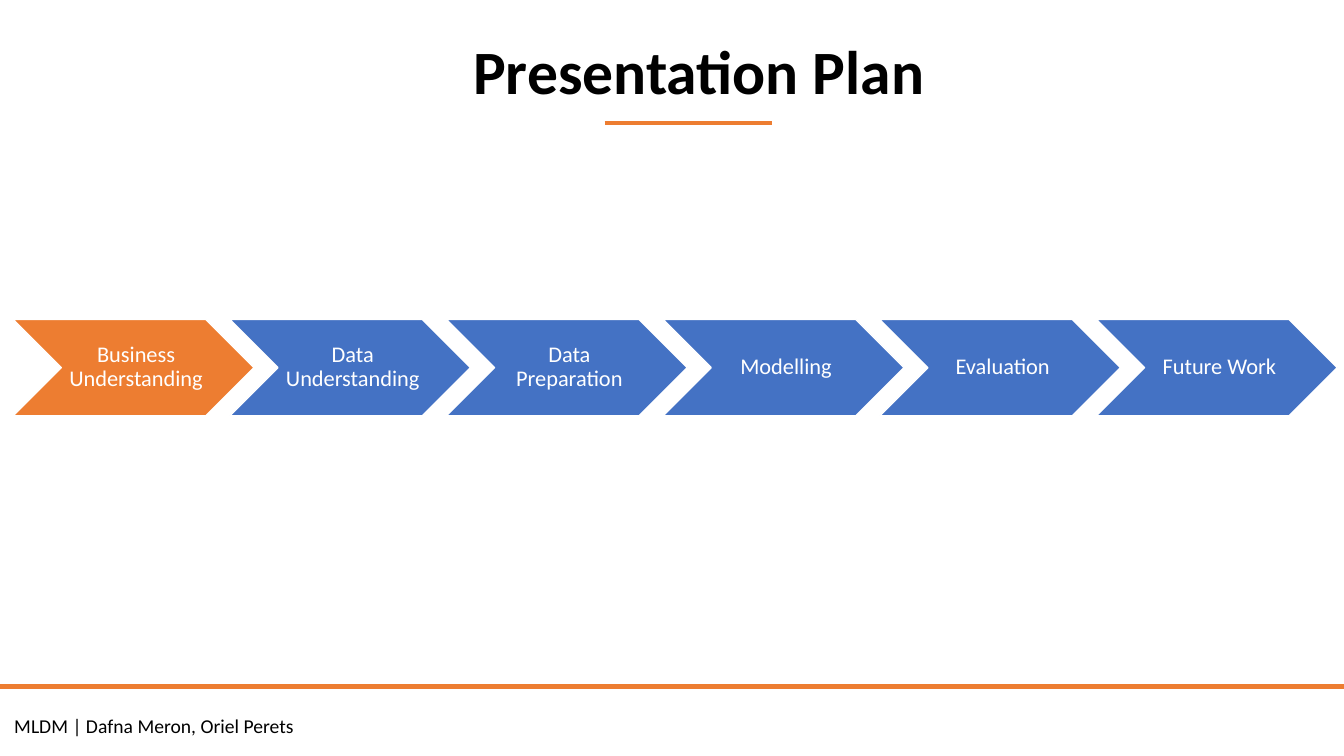
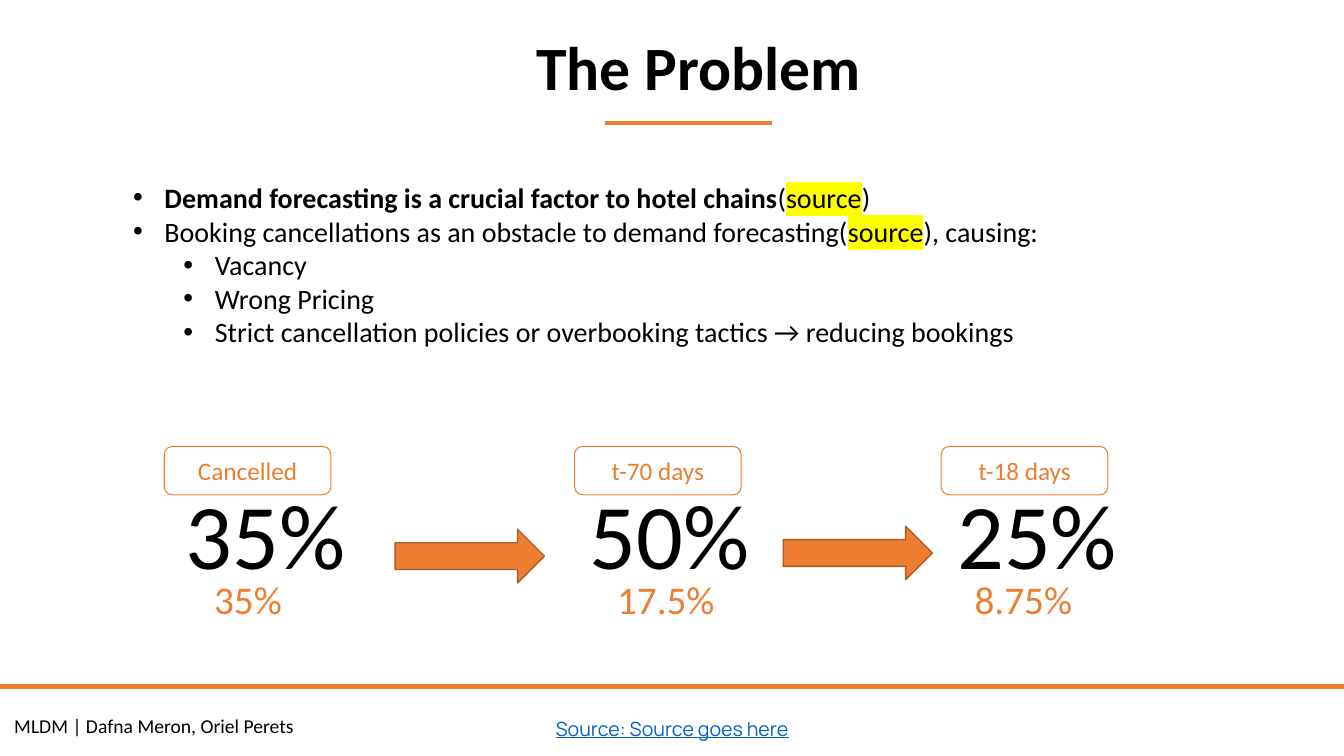
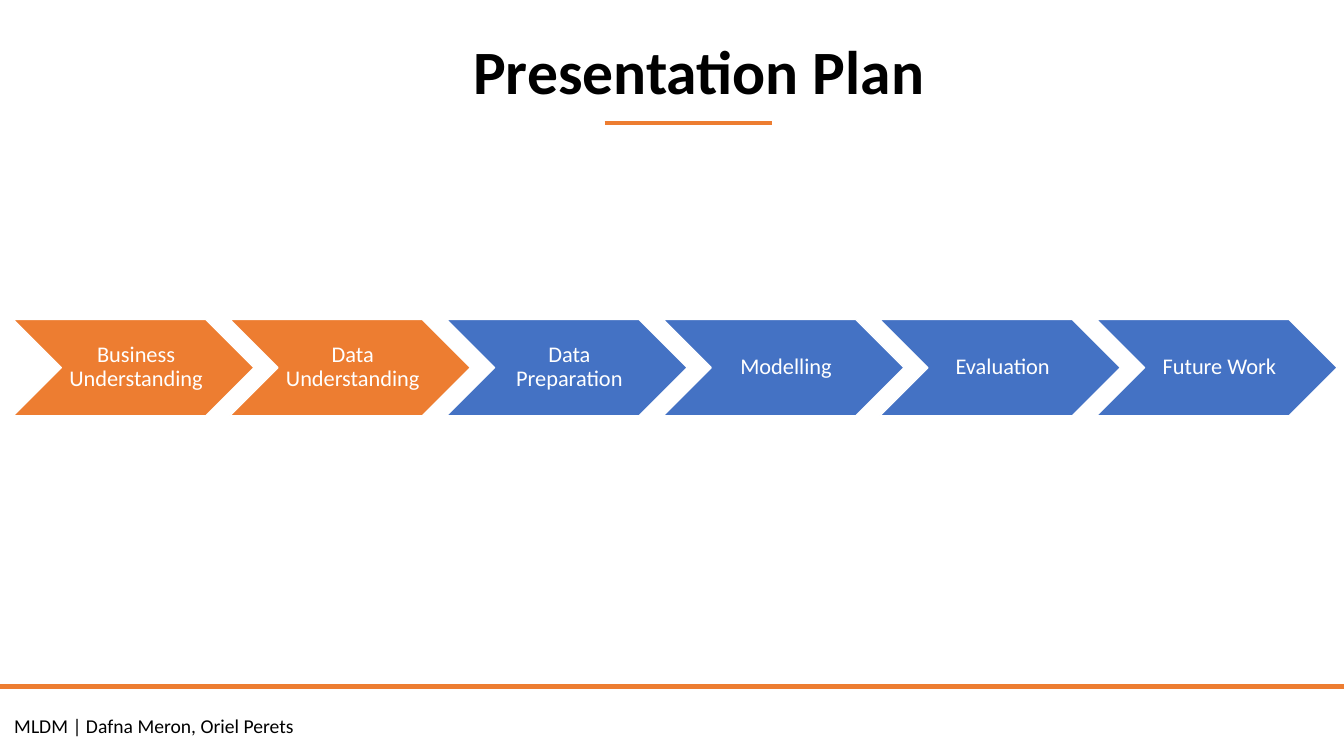
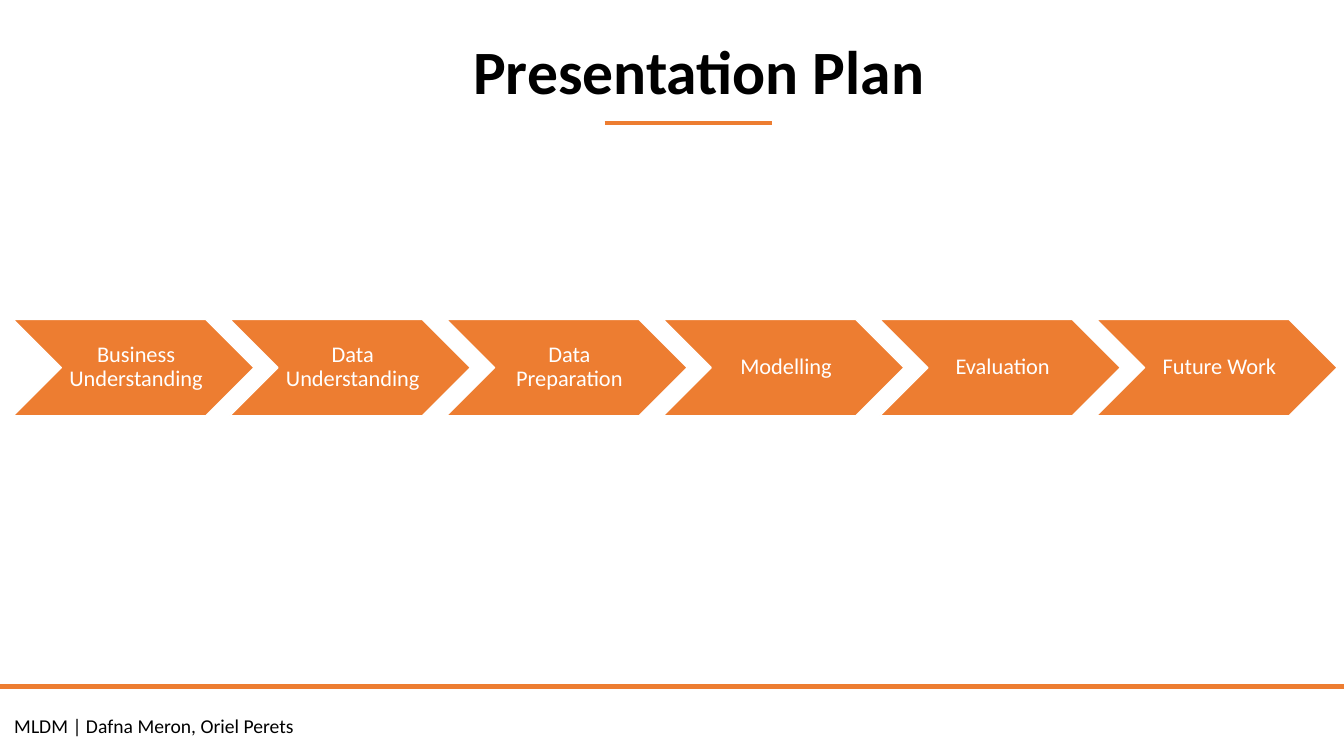
from lxml.etree import SubElement
from pptx import Presentation
from pptx.dml.color import RGBColor
from pptx.enum.shapes import MSO_CONNECTOR, MSO_SHAPE
from pptx.enum.text import MSO_ANCHOR, MSO_AUTO_SIZE, PP_ALIGN
from pptx.oxml.ns import qn
from pptx.util import Cm, Pt

COLORS = {
    "accent": "ED7D31",
    "accent_dark": "AF5C24",
    "pending": "4472C4",
    "text": "000000",
    "inverse": "FFFFFF",
    "link": "0563C1",
    "highlight": "FFFF00",
}
SLIDE_WIDTH, SLIDE_HEIGHT = 33.87, 19.05
TITLE_ONLY, TITLE_AND_BODY = 5, 1

# Text formats
TITLE = {"size": Pt(44), "bold": True}
FOOTER = {"size": Pt(14)}
SOURCE = {"size": Pt(14), "name": "Manrope", "underline": True, "color": "link"}
STEP = {"size": Pt(16), "color": "inverse"}
BODY = {"size": Pt(20), "bold": False}
STRONG = {**BODY, "bold": True}
MARKED = {**BODY, "highlight": "highlight"}
LABEL = {"size": Pt(18), "color": "accent"}
FIGURE = {"size": Pt(66)}
SHARE = {"size": Pt(28), "color": "accent"}

# Content
FOOTER_TEXT = "MLDM | Dafna Meron, Oriel Perets"
STEPS = ["Business Understanding", "Data Understanding", "Data Preparation",
         "Modelling", "Evaluation", "Future Work"]
PROBLEM_POINTS = [
    (0, [("Demand forecasting is a crucial factor to hotel chains", STRONG),
         ("(", BODY), ("source", MARKED), (")", BODY)]),
    (0, [("Booking cancellations as an obstacle to demand forecasting(", BODY),
         ("source", MARKED), ("), causing:", BODY)]),
    (1, [("Vacancy", BODY)]),
    (1, [("Wrong Pricing", BODY)]),
    (1, [("Strict cancellation policies or overbooking tactics → reducing bookings", BODY)]),
]
# Each stage: text and horizontal centre of its label, figure and share
STAGES = [
    (("Cancelled", 6.24), ("35%", 6.7), ("35%", 6.25)),
    (("t-70 days", 16.58), ("50%", 16.87), ("17.5%", 16.78)),
    (("t-18 days", 25.82), ("25%", 26.14), ("8.75%", 25.79)),
]
STAGE_ARROWS = [(9.96, 13.34), (19.74, 13.26)]


def rgb(color):
    return RGBColor.from_string(COLORS[color])


def add_span(para, text, style):
    span = para.add_run()
    span.text = text
    style = {"name": "Calibri", "color": "text", **style}
    span.font.color.rgb = rgb(style.pop("color"))
    highlight = style.pop("highlight", None)
    for name, value in style.items():
        setattr(span.font, name, value)
    if highlight:
        mark = SubElement(span.font._element, qn("a:highlight"))
        SubElement(mark, qn("a:srgbClr"), val=COLORS[highlight])
        span.font._element.find(qn("a:latin")).addprevious(mark)


def set_text(shape, text, style, align=PP_ALIGN.CENTER, **frame_format):
    frame = shape.text_frame
    frame_format = {"word_wrap": True, "auto_size": MSO_AUTO_SIZE.NONE,
                    "vertical_anchor": MSO_ANCHOR.TOP, **frame_format}
    for name, value in frame_format.items():
        setattr(frame, name, value)
    para = frame.paragraphs[0]
    para.alignment = align
    add_span(para, text, style)
    return para


def place(shape, left, top, width, height):
    for name, value in zip(("left", "top", "width", "height"), (left, top, width, height)):
        setattr(shape, name, Cm(value))


def add_text(page, area, text, style, **text_format):
    box = page.shapes.add_textbox(*map(Cm, area))
    set_text(box, text, style, **text_format)


def add_rule(page, start, end, top):
    rule = page.shapes.add_connector(MSO_CONNECTOR.STRAIGHT, Cm(start), Cm(top), Cm(end), Cm(top))
    rule.line.color.rgb = rgb("accent")
    rule.line.width = Pt(3)
    SubElement(rule._element.spPr, qn("a:effectLst"))


def add_preset(page, kind, area, fill, line, line_width):
    shape = page.shapes.add_shape(kind, *map(Cm, area))
    shape.shadow.inherit = False
    if fill:
        shape.fill.solid()
        shape.fill.fore_color.rgb = rgb(fill)
    else:
        shape.fill.background()
    shape.line.color.rgb = rgb(line)
    shape.line.width = Pt(line_width)
    return shape


def add_page(deck, layout, title, title_top):
    """Add a slide with the shared title, rules and footer."""
    page = deck.slides.add_slide(deck.slide_layouts[layout])
    place(page.shapes.title, 5.46, title_top, 24.31, 2.13)
    set_text(page.shapes.title, title, TITLE)
    add_rule(page, 15.24, 19.46, 3.1)
    add_rule(page, 0, SLIDE_WIDTH, 17.3)
    add_text(page, (0.11, 17.86, 9, 0.86), FOOTER_TEXT, FOOTER, align=PP_ALIGN.LEFT)
    return page


def fill_bullets(body, points):
    frame = body.text_frame
    frame.auto_size = MSO_AUTO_SIZE.NONE
    for index, (level, spans) in enumerate(points):
        para = frame.add_paragraph() if index else frame.paragraphs[0]
        para.level = level
        para.space_before = Pt(0)
        for text, style in spans:
            add_span(para, text, style)
        properties = para._p.get_or_add_pPr()
        properties.set("marL", str(Cm(0.79 + 1.27 * level)))
        properties.set("indent", str(-Cm(0.79)))
        SubElement(properties, qn("a:buFont"), typeface="Arial")
        SubElement(properties, qn("a:buChar"), char="•")


def add_plan(deck, steps_done):
    """Show the project steps, with those reached in the accent colour."""
    page = add_page(deck, TITLE_ONLY, "Presentation Plan", 0.71)
    for index, step in enumerate(STEPS):
        fill = "accent" if index < steps_done else "pending"
        chevron = add_preset(page, MSO_SHAPE.CHEVRON, (0.33 + 5.46 * index, 8.05, 6.07, 2.43),
                             fill, "inverse", 1)
        para = set_text(chevron, step, STEP, vertical_anchor=MSO_ANCHOR.MIDDLE,
                        margin_left=Cm(0.18), margin_right=Cm(0.05),
                        margin_top=Cm(0.05), margin_bottom=Cm(0.05))
        para.line_spacing = 0.9


def add_problem(deck):
    page = add_page(deck, TITLE_AND_BODY, "The Problem", 0.61)
    body = page.placeholders[1]
    place(body, 3.1, 4.42, 26.67, 5.38)
    fill_bullets(body, PROBLEM_POINTS)

    # Cancellation figures
    for (label, label_x), (figure, figure_x), (share, share_x) in STAGES:
        tag = add_preset(page, MSO_SHAPE.ROUNDED_RECTANGLE, (label_x - 2.1, 11.25, 4.2, 1.22),
                         None, "accent", 0.75)
        set_text(tag, label, LABEL, vertical_anchor=MSO_ANCHOR.MIDDLE)
        add_text(page, (figure_x - 2.75, 11.91, 5.5, 3.07), figure, FIGURE)
        add_text(page, (share_x - 2, 14.38, 4, 1.45), share, SHARE)
    for left, top in STAGE_ARROWS:
        add_preset(page, MSO_SHAPE.RIGHT_ARROW, (left, top, 3.76, 1.35),
                   "accent", "accent_dark", 1)

    add_text(page, (7.54, 17.93, 18.8, 0.86), "Source: Source goes here", SOURCE)


def main():
    deck = Presentation()
    deck.slide_width, deck.slide_height = Cm(SLIDE_WIDTH), Cm(SLIDE_HEIGHT)
    add_plan(deck, 1)
    add_problem(deck)
    add_plan(deck, 2)
    add_plan(deck, len(STEPS))
    deck.save("out.pptx")


if __name__ == "__main__":
    main()
